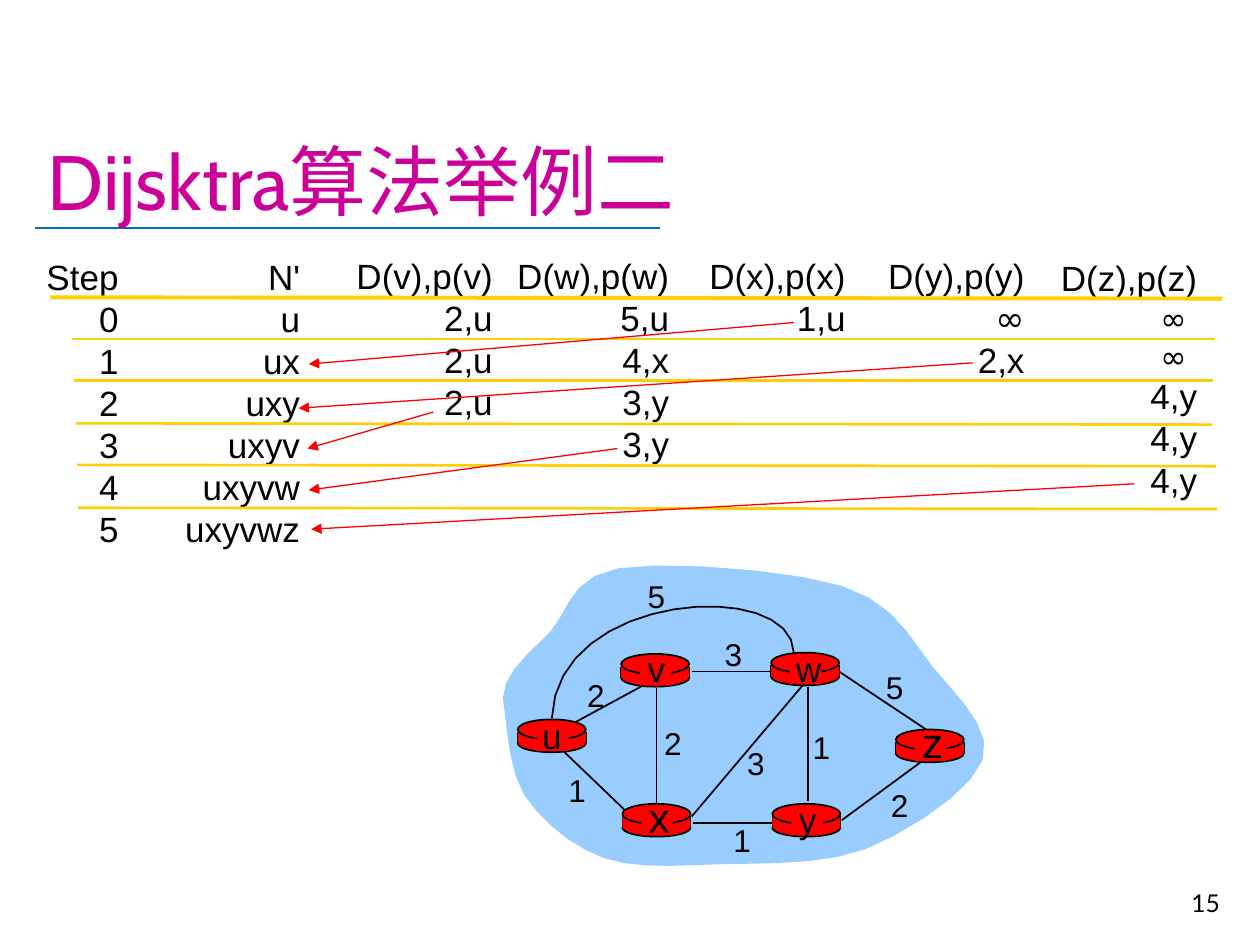
import pptx
import pptx.util
import pptx.dml.color
import pptx.enum.shapes
import pptx.enum.text
import pptx.oxml
import pptx.oxml.ns

Inches, Pt = pptx.util.Inches, pptx.util.Pt
RGBColor = pptx.dml.color.RGBColor
MSO_SHAPE = pptx.enum.shapes.MSO_SHAPE
ALIGN = pptx.enum.text.PP_ALIGN
ANCHOR = pptx.enum.text.MSO_ANCHOR

BLACK = RGBColor(0x00, 0x00, 0x00)
RED = RGBColor(0xFF, 0x00, 0x00)
MAGENTA = RGBColor(0xCC, 0x00, 0x99)
BLUE = RGBColor(0x00, 0x70, 0xC0)
SKY = RGBColor(0x99, 0xCC, 0xFF)
GOLD = RGBColor(0xFF, 0xCF, 0x01)

prs = pptx.Presentation()
prs.slide_width, prs.slide_height = Inches(10), Inches(7.5)
s = prs.slides.add_slide(prs.slide_layouts[6])


def add_text(box, lines, size, font="Arial", color=BLACK, align=ALIGN.CENTER,
             anchor=ANCHOR.TOP, wrap=False):
    """Add a text box; a line is a string or a (string, size, font) tuple."""
    tf = s.shapes.add_textbox(*map(Inches, box)).text_frame
    tf.word_wrap, tf.vertical_anchor = wrap, anchor
    for i, line in enumerate(lines):
        text, line_size, line_font = (line, size, font) if isinstance(line, str) else line
        p = tf.add_paragraph() if i else tf.paragraphs[0]
        p.alignment = align
        r = p.add_run()
        r.text = text
        formats = {"size": Pt(line_size), "name": line_font}
        for name, value in formats.items():
            setattr(r.font, name, value)
        r.font.color.rgb = color


def add_line(x1, y1, x2, y2, color=BLACK, width=1, arrow=False):
    c = s.shapes.add_connector(pptx.enum.shapes.MSO_CONNECTOR.STRAIGHT,
                               *map(Inches, (x1, y1, x2, y2)))
    c.line.color.rgb, c.line.width = color, Pt(width)
    if arrow:
        tail = pptx.oxml.parse_xml(
            '<a:tailEnd %s type="triangle"/>' % pptx.oxml.ns.nsdecls("a"))
        c.line._get_or_add_ln().append(tail)
    c._element.spPr.append(
        pptx.oxml.parse_xml("<a:effectLst %s/>" % pptx.oxml.ns.nsdecls("a")))


# Title and page number
add_line(0.28, 1.81, 5.24, 1.81, BLUE, 1.25)
add_text((0.28, 0.24, 9.5, 1.6), ["Dijsktra算法举例二"], 44, "Cabin", MAGENTA,
         ALIGN.LEFT, ANCHOR.BOTTOM, True)
add_text((7.7, 6.83, 2.08, 0.5), ["15"], 14, "Lato", BLACK, ALIGN.RIGHT, ANCHOR.BOTTOM, True)

# Step columns: left, top, width, lines
SMALL_INFINITY = ("∞ ", 18, "Comic Neue")
columns = [
    (0.26, 1.98, 0.78, ["Step", "0", "1", "2", "3", "4", "5"]),
    (1.37, 1.98, 1.11, ["N'", "u", "ux", "uxy", "uxyv", "uxyvw", "uxyvwz"]),
    (2.73, 1.97, 1.28, ["D(v),p(v)", "2,u", "2,u", "2,u"]),
    (3.98, 1.97, 1.43, ["D(w),p(w)", "5,u", "4,x", "3,y", "3,y"]),
    (5.53, 1.97, 1.28, ["D(x),p(x)", "1,u"]),
    (6.95, 1.97, 1.28, ["D(y),p(y)", ("∞", 20, "Comic Neue"), "2,x"]),
    (8.32, 1.99, 1.28, ["D(z),p(z)", SMALL_INFINITY, SMALL_INFINITY, "4,y", "4,y", "4,y"]),
]
for left, top, width, lines in columns:
    add_text((left, top, width, 0.1 + len(lines) / 3), lines, 20, align=ALIGN.RIGHT)

rules = [(0.4, 2.36, 9.7, 2.37), (0.57, 2.69, 9.64, 2.69), (0.59, 3.02, 9.63, 3.02),
         (0.6, 3.36, 9.62, 3.37), (0.61, 3.69, 9.65, 3.7), (0.62, 4.03, 9.66, 4.04)]
for i, ends in enumerate(rules):
    add_line(*ends, GOLD, 1.5 if i else 2.25)

# Network cloud and the curved u-w edge: points of chained cubic curves
cloud = [(3.99, 5.54), (4, 5.33), (4.21, 5.18), (4.37, 5.01), (4.52, 4.84), (4.52, 4.58),
         (4.91, 4.51), (5.29, 4.45), (6.26, 4.52), (6.68, 4.65), (7.1, 4.78), (7.22, 5.06),
         (7.4, 5.29), (7.59, 5.52), (7.89, 5.79), (7.8, 6.03), (7.72, 6.27), (7.22, 6.6),
         (6.87, 6.74), (6.52, 6.87), (6.06, 6.85), (5.71, 6.86), (5.37, 6.87), (5.05, 6.9),
         (4.79, 6.81), (4.54, 6.72), (4.3, 6.52), (4.16, 6.31), (4.03, 6.1), (4.02, 5.7),
         (3.99, 5.54)]
arc = [(6.3, 5.18), (6.29, 4.58), (4.41, 4.69), (4.38, 5.7)]
for curve, steps, closed in ((cloud, 5, True), (arc, 16, False)):
    points = [curve[0]]
    for k in range(0, len(curve) - 1, 3):
        for t in (n / steps for n in range(1, steps + 1)):
            weights = ((1 - t) ** 3, 3 * t * (1 - t) ** 2, 3 * t * t * (1 - t), t ** 3)
            points.append(tuple(sum(w * pt[axis] for w, pt in zip(weights, curve[k:k + 4]))
                                for axis in (0, 1)))
    outline = [(Inches(x), Inches(y)) for x, y in points]
    fb = s.shapes.build_freeform(*outline[0])
    fb.add_line_segments(outline[1:], close=closed)
    sp = fb.convert_to_shape()
    sp.shadow.inherit = False
    if closed:
        sp.fill.solid()
        sp.fill.fore_color.rgb = SKY
        sp.line.fill.background()
    else:
        sp.fill.background()
        sp.line.color.rgb, sp.line.width = BLACK, Pt(1)

# Straight edges
edges = [(4.57, 5.73, 5.16, 5.41), (6.41, 5.45, 6.41, 6.36), (5.21, 5.46, 5.21, 6.4),
         (5.49, 6.48, 6.37, 5.44), (6.68, 6.51, 7.32, 6.04), (6.14, 6.53, 5.5, 6.53),
         (4.96, 6.43, 4.48, 5.97), (6.13, 5.33, 5.49, 5.33), (7.35, 5.79, 6.66, 5.33)]
for ends in edges:
    add_line(*ends)

# Routers: name, left, top, label size, label centre x, label top
routers = [("u", 4.11, 5.71, 20, 4.38, 5.62), ("x", 4.94, 6.38, 24, 5.23, 6.23),
           ("v", 4.93, 5.19, 20, 5.21, 5.09), ("w", 6.12, 5.18, 20, 6.4, 5.09),
           ("y", 6.13, 6.38, 20, 6.41, 6.29), ("z", 7.11, 5.79, 24, 7.4, 5.64)]
# Router parts: shape, dx, dy, width, height, outlined
parts = [(MSO_SHAPE.OVAL, 0, 0.12, 0.54, 0.14, True),
         (MSO_SHAPE.RECTANGLE, 0, 0.1, 0.54, 0.09, False),
         (MSO_SHAPE.OVAL, 0, 0, 0.54, 0.16, True),
         (MSO_SHAPE.RECTANGLE, 0.15, 0.02, 0.25, 0.23, False)]
for name, left, top, size, center, label_top in routers:
    for x in (left, left + 0.54):
        add_line(x, top + 0.1, x, top + 0.19)
    for kind, dx, dy, width, height, outlined in parts:
        sp = s.shapes.add_shape(kind, *map(Inches, (left + dx, top + dy, width, height)))
        sp.shadow.inherit = False
        sp.fill.solid()
        sp.fill.fore_color.rgb = RED
        if outlined:
            sp.line.color.rgb, sp.line.width = BLACK, Pt(1)
        else:
            sp.line.fill.background()
    add_text((center - 0.18, label_top, 0.36, 0.43 if size == 20 else 0.5), [name], size)

# Edge costs
costs = [("2", 4.56, 5.32), ("2", 5.17, 5.7), ("1", 4.41, 6.07), ("3", 5.83, 5.86),
         ("1", 5.72, 6.47), ("1", 6.35, 5.73), ("2", 6.97, 6.19), ("5", 6.93, 5.25),
         ("3", 5.65, 4.99), ("5", 5.04, 4.53)]
for cost, left, top in costs:
    add_text((left, top, 0.34, 0.4), [cost], 18)

# Arrows from each chosen minimum to the next N'
choices = [(6.3, 2.56, 2.45, 2.89), (7.72, 2.88, 2.37, 3.24), (3.44, 3.27, 2.44, 3.56),
           (4.9, 3.56, 2.45, 3.89), (9, 3.84, 2.47, 4.2)]
for ends in choices:
    add_line(*ends, RED, 0.75, arrow=True)

prs.save("out.pptx")
